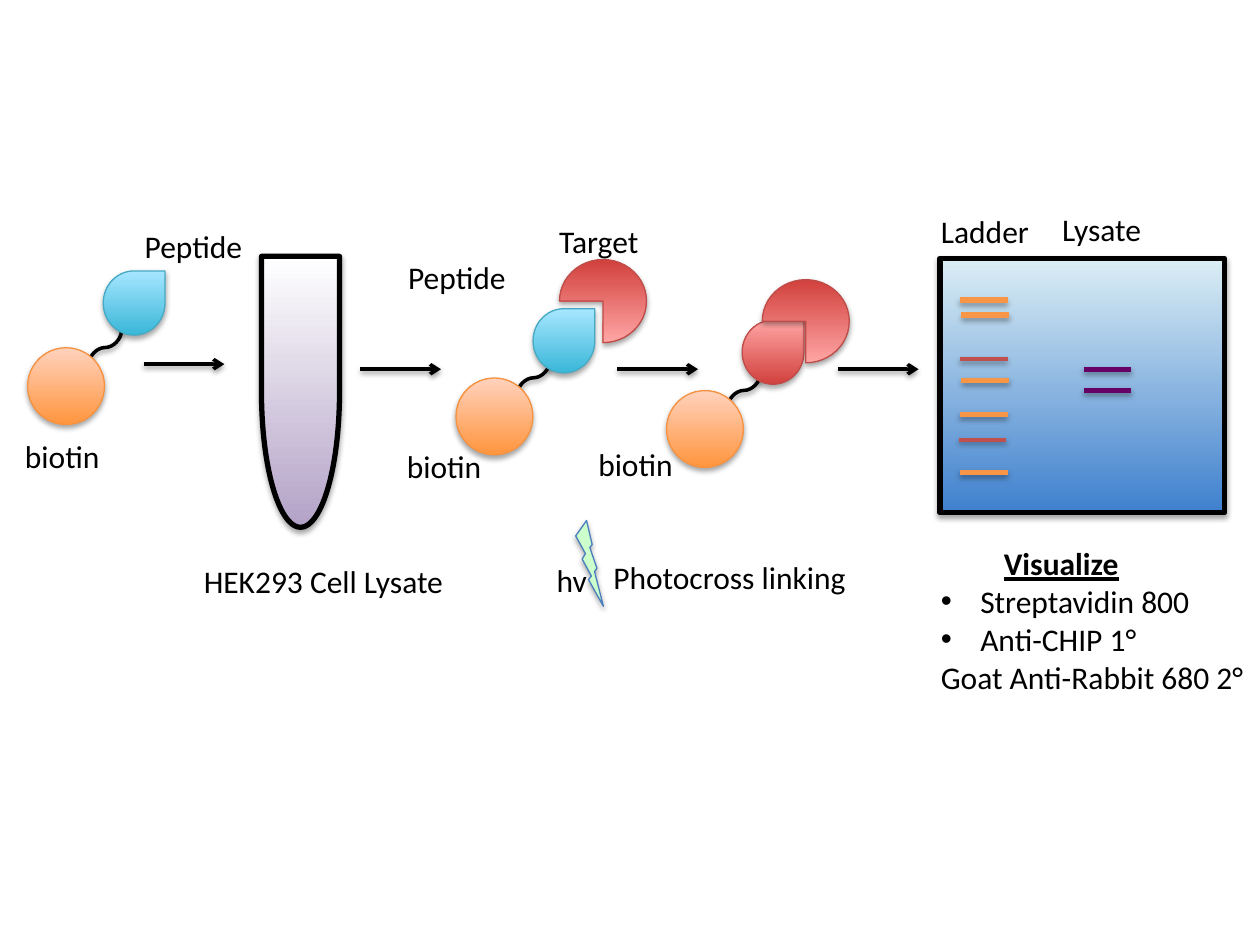
from dataclasses import dataclass
from typing import Optional

from lxml import etree
from pptx import Presentation
from pptx.dml.color import RGBColor
from pptx.enum import shapes as kinds, text as txt
from pptx.oxml.ns import qn
from pptx.util import Pt

Kind = kinds.MSO_SHAPE
Join = kinds.MSO_CONNECTOR
Grad = tuple[str, str]


@dataclass(frozen=True)
class Theme:
    font: str = "Calibri"
    size: float = 18
    black: str = "000000"
    orange: str = "F79646"
    red: str = "C0504D"
    purple: str = "660066"
    mint: str = "CCFFCC"
    bolt: str = "4B7EBC"
    ball: Grad = ("FF953E", "FFD2BD")
    rim: str = "F69240"
    cyan: Grad = ("39B7D8", "A7E6FF")
    teal: str = "46AAC5"
    rose: Grad = ("D1403C", "FFA6A5")
    wine: str = "BF4C48"
    tube: Grad = ("FFFFFF", "B3A2C7")
    gel: Grad = ("3F80CE", "DBEEF4")
    thin: float = 0.75
    mid: float = 2
    thick: float = 3


@dataclass(frozen=True)
class Box:
    x: float
    y: float
    w: float
    h: float


@dataclass(frozen=True)
class Probe:
    """Biotin ball on a linker, with a peptide drop and maybe a bound target."""
    x: float
    y: float
    drop: tuple[float, float]
    fill: Grad
    edge: str
    target: Optional[tuple[float, float]] = None


@dataclass(frozen=True)
class Band:
    x: float
    y: float
    color: str
    width: float


@dataclass(frozen=True)
class Label:
    x: float
    y: float
    w: float
    words: str


T = Theme()


def shade(item, dist: float, alpha: int) -> None:
    """Add a soft shadow below; call once the line is set."""
    fx = etree.SubElement(item._element.spPr, qn("a:effectLst"))
    out = etree.SubElement(fx, qn("a:outerShdw"), blurRad=str(Pt(3.1)),
                           dist=str(Pt(dist)), dir="5400000", rotWithShape="0")
    hue = etree.SubElement(out, qn("a:srgbClr"), val=T.black)
    etree.SubElement(hue, qn("a:alpha"), val=str(alpha * 1000))


def stroke(item, color: str, width: float) -> None:
    item.line.color.rgb = RGBColor.from_string(color)
    item.line.width = Pt(width)


def shape(page, kind, box: Box, fill: str | Grad, edge: str, width: float,
          turn: float = 0, angle: float = 90):
    item = page.add_shape(kind, Pt(box.x), Pt(box.y), Pt(box.w), Pt(box.h))
    item.rotation = turn
    if isinstance(fill, str):
        item.fill.solid()
        item.fill.fore_color.rgb = RGBColor.from_string(fill)
    else:
        item.fill.gradient()
        item.fill.gradient_angle = angle
        for stop, color in zip(item.fill.gradient_stops, fill):
            stop.color.rgb = RGBColor.from_string(color)
    stroke(item, edge, width)
    shade(item, 1.8, 35)
    return item


def link(page, kind, start: tuple[float, float], end: tuple[float, float],
         color: str, width: float, head: bool = False):
    item = page.add_connector(kind, Pt(start[0]), Pt(start[1]), Pt(end[0]), Pt(end[1]))
    stroke(item, color, width)
    if head:
        etree.SubElement(item.line._get_or_add_ln(), qn("a:tailEnd"), type="arrow")
    if width == T.thick:
        shade(item, 1.8, 35)
    else:
        shade(item, 1.6, 38)
    return item


def probe(page, p: Probe) -> None:
    x, y = p.x + 34.6, p.y - 9.4
    curve = link(page, Join.CURVE, (x + 19.4, y + 18.7), (x, y), T.black, T.mid)
    curve._element.spPr.get_or_add_xfrm().set("rot", "5400000")
    shape(page, Kind.OVAL, Box(p.x, p.y, 43.9, 43.9), T.ball, T.rim, T.thin)
    shape(page, Kind.TEAR, Box(*p.drop, 35.3, 36.7), p.fill, p.edge, T.thin)
    if p.target:
        shape(page, Kind.PIE, Box(*p.target, 49.7, 47.5), T.rose, T.wine, T.thin, turn=180)


def label(page, l: Label):
    item = page.add_textbox(Pt(l.x), Pt(l.y), Pt(l.w), Pt(28.8))
    frame = item.text_frame
    frame.text = l.words
    frame.word_wrap = False
    frame.auto_size = txt.MSO_AUTO_SIZE.SHAPE_TO_FIT_TEXT
    for par in frame.paragraphs:
        for run in par.runs:
            run.font.name = T.font
            run.font.size = Pt(T.size)
            run.font.color.rgb = RGBColor.from_string(T.black)
    return item


def indent(par, left: float, first: float = 0) -> None:
    props = par._p.get_or_add_pPr()
    props.set("marL", str(Pt(left)))
    props.set("indent", str(Pt(first)))


def legend(page) -> None:
    words = "Visualize\nStreptavidin 800\nAnti-CHIP 1°\nGoat Anti-Rabbit 680 2°"
    item = label(page, Label(530.6, 307.4, 189.4, words))
    item.height = Pt(94.3)
    title, *dots, _ = item.text_frame.paragraphs
    indent(title, 36)
    title.runs[0].font.bold = True
    title.runs[0].font.underline = True
    for par in dots:
        indent(par, 22.5, -22.5)
        props = par._p.get_or_add_pPr()
        etree.SubElement(props, qn("a:buFont"), typeface="Arial")
        etree.SubElement(props, qn("a:buChar"), char="•")


PROBES = [
    Probe(15.8, 198.7, (59, 154.8), T.cyan, T.teal),
    Probe(260.6, 216, (304.6, 176.4), T.cyan, T.teal, (319.7, 148.3)),
    Probe(380.9, 223.2, (424.1, 182.9), T.rose, T.wine, (435.6, 159.8)),
]
ARROWS = [(82.1, 208.1), (205.9, 211), (352.8, 211), (478.8, 211)]
BANDS = [
    Band(548.6, 171.4, T.orange, T.thick), Band(549.4, 180, T.orange, T.thick),
    Band(548.6, 205.2, T.red, T.mid), Band(549.4, 217.4, T.orange, T.thick),
    Band(548.6, 236.9, T.orange, T.thick), Band(547.9, 251.3, T.red, T.mid),
    Band(548.6, 270, T.orange, T.thick),
    Band(619.2, 211, T.purple, T.thick), Band(619.2, 223.2, T.purple, T.thick),
]
LABELS = [
    Label(7.2, 246.2, 57.6, "biotin"), Label(75.6, 126, 71.3, "Peptide"),
    Label(109.4, 317.5, 154.1, "HEK293 Cell Lysate"),
    Label(225.4, 252, 57.6, "biotin"), Label(226.1, 144, 71.3, "Peptide"),
    Label(312.5, 123.1, 61.9, "Target"), Label(530.6, 117.4, 65.5, "Ladder"),
    Label(599.8, 116.6, 61.2, "Lysate"), Label(334.8, 250.6, 57.6, "biotin"),
    Label(311, 316.8, 32.4, "hv"), Label(343.4, 315.4, 149, "Photocross linking"),
]


def main() -> None:
    deck = Presentation()
    deck.slide_width, deck.slide_height = Pt(720), Pt(540)
    page = deck.slides.add_slide(deck.slide_layouts[6]).shapes

    shape(page, Kind.FLOWCHART_DELAY, Box(94.3, 201.6, 154.8, 44.6), T.tube,
          T.black, T.thick, turn=90, angle=0)
    for p in PROBES:
        probe(page, p)
    for x, y in ARROWS:
        link(page, Join.STRAIGHT, (x, y), (x + 46.1, y), T.black, T.mid, head=True)
    shape(page, Kind.RECTANGLE, Box(537.1, 147.6, 162.7, 145.4), T.gel, T.black, T.thick)
    for b in BANDS:
        link(page, Join.STRAIGHT, (b.x, b.y), (b.x + 27.2, b.y), b.color, b.width)
    shape(page, Kind.LIGHTNING_BOLT, Box(329, 297.4, 15.8, 49), T.mint, T.bolt, T.thin)
    for l in LABELS:
        label(page, l)
    legend(page)
    deck.save("out.pptx")


if __name__ == "__main__":
    main()
